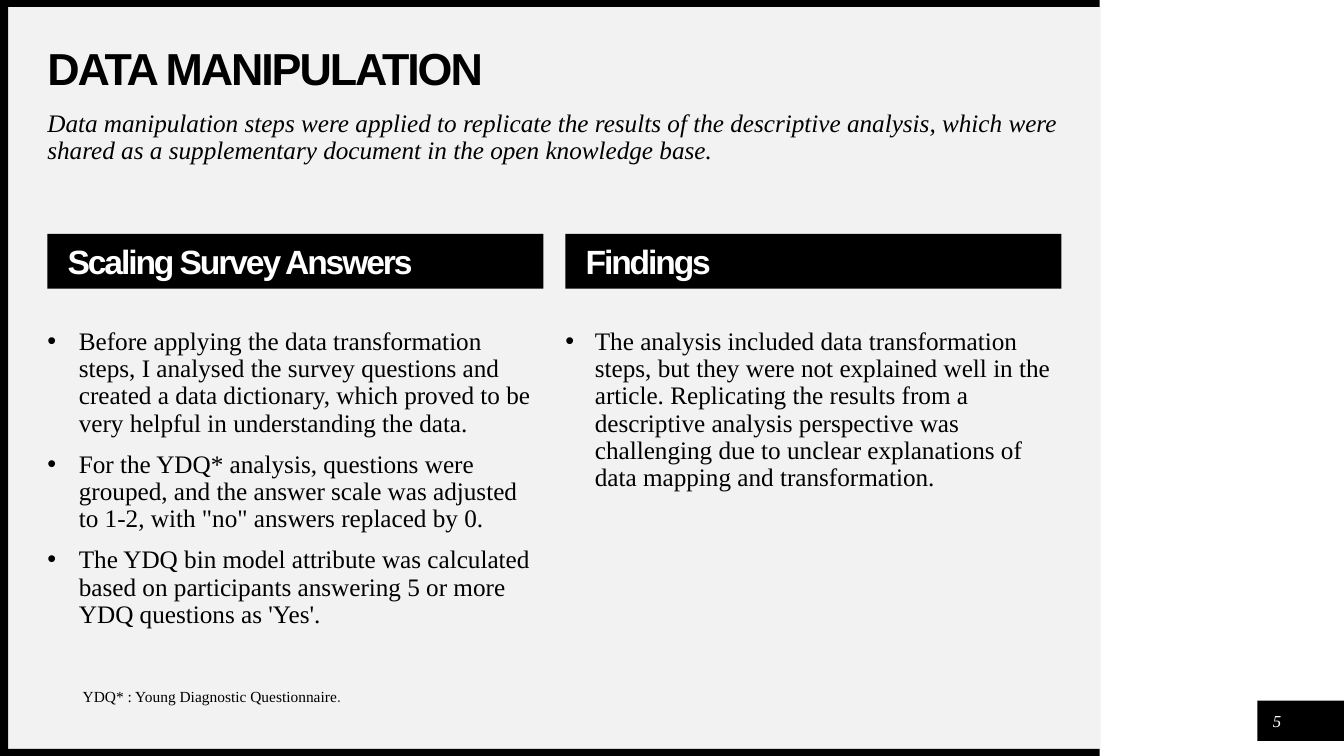
"""Build the data manipulation slide with two headed columns."""
from lxml.etree import SubElement
from pptx import Presentation
from pptx.dml.color import RGBColor
from pptx.enum.shapes import MSO_SHAPE
from pptx.enum.text import MSO_ANCHOR, PP_ALIGN
from pptx.oxml.ns import qn
from pptx.util import Pt

BLACK = RGBColor(0, 0, 0)
WHITE = RGBColor(255, 255, 255)
PALE = RGBColor(0xF2, 0xF2, 0xF2)
GREY = RGBColor(0x40, 0x40, 0x40)
SERIF = "Times New Roman"
LEFT, RIGHT = 33.84, 403.92
WIDE, HALF = 724.32, 354.24

deck = Presentation()
deck.slide_width, deck.slide_height = Pt(960), Pt(540)
slide = deck.slides.add_slide(deck.slide_layouts[6])


def add_box(x, y, w, h, fill):
    box = slide.shapes.add_shape(MSO_SHAPE.RECTANGLE, Pt(x), Pt(y), Pt(w), Pt(h))
    box.shadow.inherit = False
    box.fill.solid()
    box.fill.fore_color.rgb = fill
    box.line.fill.background()
    return box


def set_text(shape, lines, size, face=SERIF, color=BLACK, bold=False,
             italic=False, track=0, indent=0, anchor=MSO_ANCHOR.TOP):
    frame = shape.text_frame
    frame.text = "\n".join(lines)
    frame.word_wrap = True
    frame.vertical_anchor = anchor
    frame.margin_left = frame.margin_right = 0
    frame.margin_top = frame.margin_bottom = 0
    for para in frame.paragraphs:
        para.alignment = PP_ALIGN.LEFT
        para.line_spacing = 0.9
        para.space_before = Pt(10)
        if indent:
            props = para._p.get_or_add_pPr()
            props.set("marL", str(Pt(indent)))
            props.set("indent", str(-Pt(indent)))
            SubElement(props, qn("a:buFont")).set("typeface", "Arial")
            SubElement(props, qn("a:buChar")).set("char", "•")
        for run in para.runs:
            font = run.font
            font.name, font.size = face, Pt(size)
            font.bold, font.italic = bold, italic
            font.color.rgb = color
            if track:
                run._r.get_or_add_rPr().set("spc", str(track))
    return frame


add_box(5.76, 5.04, 780.48, 529.92, PALE)
add_box(898.2, 500.4, 61.8, 28.8, BLACK)
for y in (0, 534.96):
    add_box(0, y, 785.52, 5.04, BLACK)
add_box(0, 0, 5.76, 540, BLACK)

title = slide.shapes.add_textbox(Pt(LEFT), Pt(33.84), Pt(WIDE), Pt(33.84))
set_text(title, ["DATA MANIPULATION"], 32, "Arial", bold=True, track=-150,
         anchor=MSO_ANCHOR.MIDDLE)

intro = slide.shapes.add_textbox(Pt(LEFT), Pt(79.2), Pt(WIDE), Pt(28.08))
set_text(intro, [
    "Data manipulation steps were applied to replicate the results of the "
    "descriptive analysis, which were shared as a supplementary document in "
    "the open knowledge base."], 18, italic=True)

columns = [
    (LEFT, "Scaling Survey Answers", 254.16, 22.5, [
        "Before applying the data transformation steps, I analysed the survey "
        "questions and created a data dictionary, which proved to be very "
        "helpful in understanding the data.",
        "For the YDQ* analysis, questions were grouped, and the answer scale "
        "was adjusted to 1-2, with \"no\" answers replaced by 0.",
        "The YDQ bin model attribute was calculated based on participants "
        "answering 5 or more YDQ questions as 'Yes'."]),
    (RIGHT, "Findings", 198.72, 21, [
        "The analysis included data transformation steps, but they were not "
        "explained well in the article. Replicating the results from a "
        "descriptive analysis perspective was challenging due to unclear "
        "explanations of data mapping and transformation."]),
]
for x, head, height, indent, points in columns:
    bar = add_box(x, 167.04, HALF, 39.24, BLACK)
    frame = set_text(bar, [head], 24, "Arial", WHITE, bold=True, track=-150,
                     anchor=MSO_ANCHOR.MIDDLE)
    frame.margin_left, frame.margin_top = Pt(14.4), Pt(2.88)
    body = slide.shapes.add_textbox(Pt(x), Pt(234.72), Pt(HALF), Pt(height))
    set_text(body, points, 18, indent=indent)

number = slide.shapes.add_textbox(Pt(901.44), Pt(504), Pt(21.6), Pt(21.6))
frame = set_text(number, ["5"], 12, color=WHITE, italic=True,
                 anchor=MSO_ANCHOR.MIDDLE)
para = frame.paragraphs[0]
para.alignment = PP_ALIGN.CENTER
para.line_spacing, para.space_before = 1.0, Pt(0)

note = slide.shapes.add_textbox(Pt(59.04), Pt(492.48), Pt(HALF), Pt(26.64))
frame = set_text(note, ["YDQ* : Young Diagnostic Questionnaire"], 11)
stop = frame.paragraphs[0].add_run()
stop.text = "."
stop.font.name, stop.font.size = "Calibri", Pt(11)
stop.font.color.rgb = GREY

deck.save("out.pptx")
